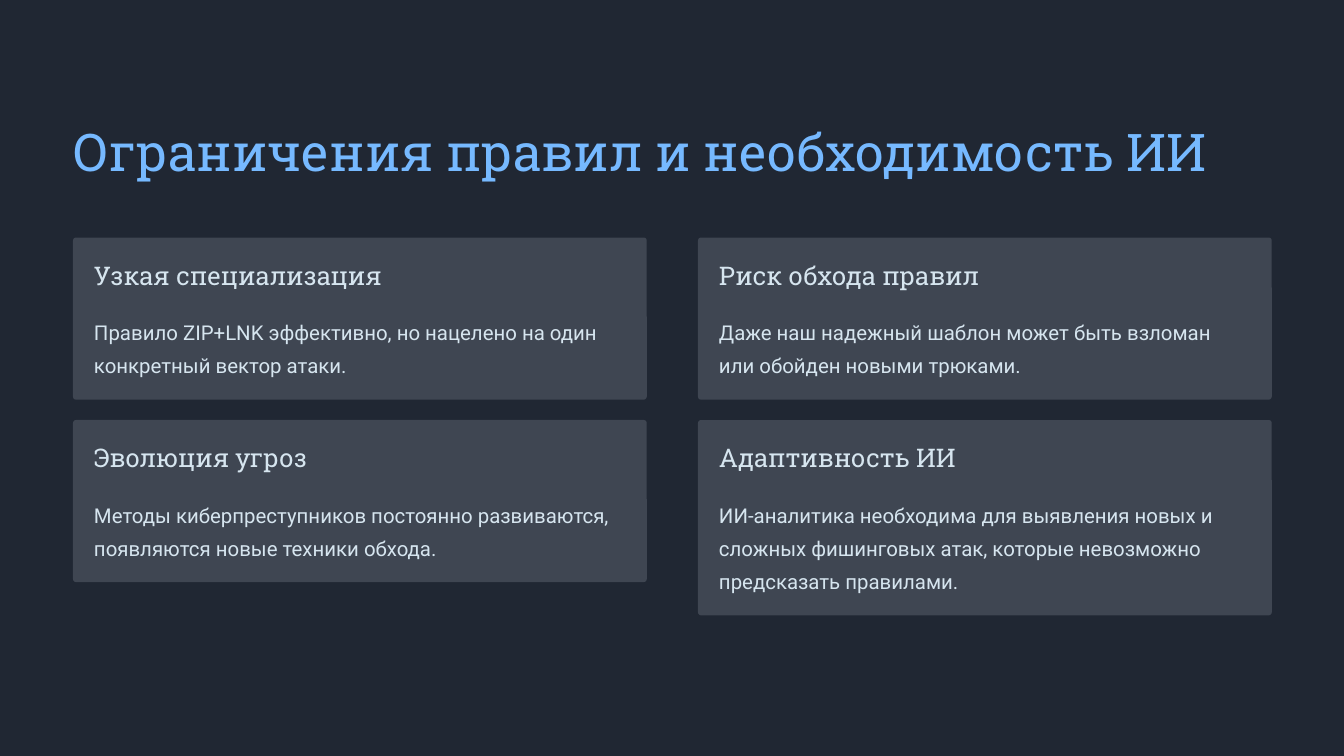
from pptx import Presentation
from pptx.dml.color import RGBColor
from pptx.enum.shapes import MSO_SHAPE as Shape
from pptx.util import Pt

COLORS = {"background": "202733", "title": "76B9FF", "card": "3F4652", "text": "D6E5EF"}
MARGIN, CARD_WIDTH, COLUMN_STEP = 62.6, 491.8, 535.7
FIRST_ROW, ROW_STEP = 203.6, 156.4
PADDING, BODY_OFFSET, CARD_EXTRA = 18, 63.4, 82
LINE, CORNER = 28.5, 2.65

CARDS = [  # column, row, body lines, heading, body
    (0, 0, 2, "Узкая специализация",
     "Правило ZIP+LNK эффективно, но нацелено на один конкретный вектор атаки."),
    (0, 1, 2, "Эволюция угроз",
     "Методы киберпреступников постоянно развиваются, появляются новые техники обхода."),
    (1, 0, 2, "Риск обхода правил",
     "Даже наш надежный шаблон может быть взломан или обойден новыми трюками."),
    (1, 1, 3, "Адаптивность ИИ",
     "ИИ-аналитика необходима для выявления новых и сложных фишинговых атак, "
     "которые невозможно предсказать правилами."),
]

presentation = Presentation()
presentation.slide_width, presentation.slide_height = Pt(1152), Pt(648)
slide = presentation.slides.add_slide(presentation.slide_layouts[6])
slide.background.fill.solid()
slide.background.fill.fore_color.rgb = RGBColor.from_string(COLORS["background"])


def add_text(text, left, top, width, height, size, spacing, font, color, wrap=False):
    frame = slide.shapes.add_textbox(Pt(left), Pt(top), Pt(width), Pt(height)).text_frame
    frame.margin_left = frame.margin_right = frame.margin_top = frame.margin_bottom = 0
    frame.word_wrap = wrap
    paragraph = frame.paragraphs[0]
    paragraph.line_spacing = Pt(spacing)
    run = paragraph.add_run()
    run.text = text
    run.font.size = Pt(size)
    run.font.name = font
    run.font.color.rgb = RGBColor.from_string(COLORS[color])


add_text("Ограничения правил и необходимость ИИ", MARGIN, 100.8, 972.7, 56,
         44.5, 55.5, "Roboto Slab", "title")

for column, row, lines, heading, body in CARDS:
    left = MARGIN + column * COLUMN_STEP
    top = FIRST_ROW + row * ROW_STEP
    height = CARD_EXTRA + lines * LINE
    text_left, text_width = left + PADDING, CARD_WIDTH - 2 * PADDING

    card = slide.shapes.add_shape(Shape.ROUNDED_RECTANGLE, Pt(left), Pt(top),
                                  Pt(CARD_WIDTH), Pt(height))
    card.adjustments[0] = CORNER / height
    card.shadow.inherit = False
    card.fill.solid()
    card.fill.fore_color.rgb = RGBColor.from_string(COLORS["card"])
    card.line.fill.background()

    add_text(heading, text_left, top + PADDING, text_width, 28,
             22, 27.5, "Roboto Slab", "text")
    add_text(body, text_left, top + BODY_OFFSET, text_width, lines * LINE,
             17.5, LINE, "Roboto", "text", wrap=True)

presentation.save("out.pptx")
